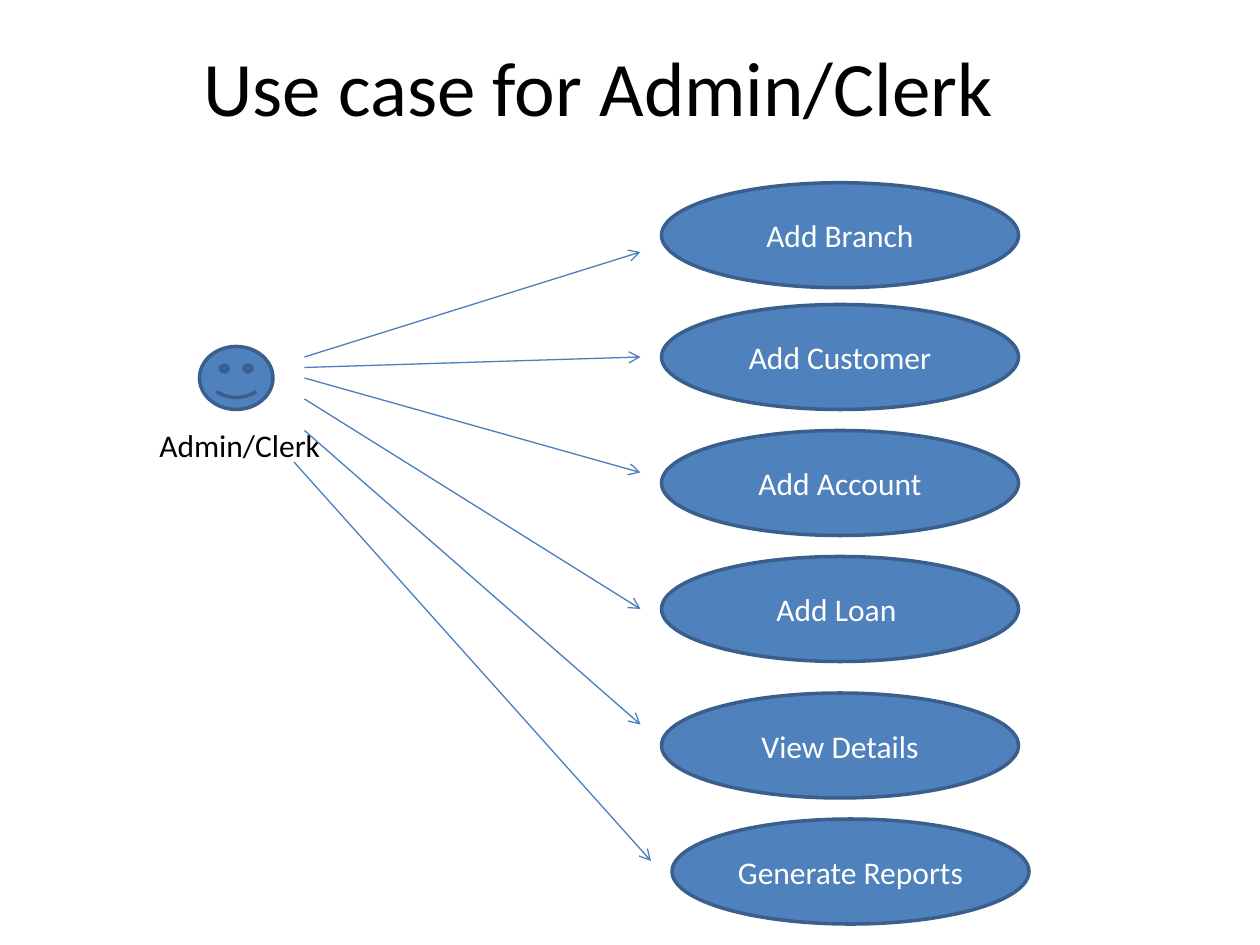
"""Build the use case slide for the admin or clerk role."""
from dataclasses import dataclass
from typing import NamedTuple

from lxml import etree
from pptx import Presentation
from pptx.dml.color import RGBColor
from pptx.enum.shapes import MSO_CONNECTOR, MSO_SHAPE
from pptx.enum.text import MSO_ANCHOR, MSO_AUTO_SIZE, PP_ALIGN
from pptx.oxml.ns import qn
from pptx.util import Inches, Pt

OVAL, FACE = MSO_SHAPE.OVAL, MSO_SHAPE.SMILEY_FACE
LINE = MSO_CONNECTOR.STRAIGHT
MID, TOP = MSO_ANCHOR.MIDDLE, MSO_ANCHOR.TOP
LEFT, CENTER = PP_ALIGN.LEFT, PP_ALIGN.CENTER
GROW = MSO_AUTO_SIZE.SHAPE_TO_FIT_TEXT

WIDE, HIGH = Inches(10), Inches(7.5)
UNIT = WIDE / 120


@dataclass(frozen=True)
class Theme:
    font: str = "Calibri"
    fill: str = "4F81BD"
    edge: str = "3A5F8C"
    arrow: str = "4B7EBC"
    dark: str = "000000"
    light: str = "FFFFFF"
    head: int = 44
    body: int = 18
    border: float = 2
    thin: float = 0.75


class Box(NamedTuple):
    col: float
    row: float
    cols: float
    rows: float


class Point(NamedTuple):
    col: float
    row: float


class Case(NamedTuple):
    name: str
    row: float
    start: Point
    tip: Point


THEME = Theme()
GAP = 2
OVAL_COLS, OVAL_ROWS = 34, 10
CASES = [
    Case("Add Branch", 17.4, Point(29, 34), Point(61, 24)),
    Case("Add Customer", 29, Point(29, 35), Point(61, 34)),
    Case("Add Account", 41, Point(29, 36), Point(61, 45)),
    Case("Add Loan ", 53, Point(29, 38), Point(61, 58)),
    Case("View Details", 66, Point(29, 41), Point(61, 69)),
    Case("Generate Reports", 78, Point(28, 44), Point(62, 82)),
]


def scale(cells: tuple) -> list[int]:
    """Turn grid cells into slide lengths."""
    return [round(cell * UNIT) for cell in cells]


def write(shape, text: str, size: int, color: str, align=CENTER, anchor=MID) -> None:
    """Put styled text into a shape."""
    frame = shape.text_frame
    frame.word_wrap = True
    frame.vertical_anchor = anchor
    frame.text = text
    para = frame.paragraphs[0]
    para.alignment = align
    font = para.runs[0].font
    font.name, font.size = THEME.font, Pt(size)
    font.color.rgb = RGBColor.from_string(color)


def add_form(slide, kind, box: Box):
    """Draw a filled and outlined preset shape."""
    form = slide.shapes.add_shape(kind, *scale(box))
    form.shadow.inherit = False
    form.fill.solid()
    form.fill.fore_color.rgb = RGBColor.from_string(THEME.fill)
    form.line.color.rgb = RGBColor.from_string(THEME.edge)
    form.line.width = Pt(THEME.border)
    return form


def add_arrow(slide, start: Point, tip: Point) -> None:
    """Draw a thin line with an open arrowhead at its tip."""
    link = slide.shapes.add_connector(LINE, *scale(start + tip))
    link.line.color.rgb = RGBColor.from_string(THEME.arrow)
    link.line.width = Pt(THEME.thin)
    props = link.element.find(qn("p:spPr"))
    etree.SubElement(props.find(qn("a:ln")), qn("a:tailEnd"), type="arrow")
    etree.SubElement(props, qn("a:effectLst"))


def add_case(slide, case: Case) -> None:
    """Draw a use case and the arrow that leads to it."""
    add_arrow(slide, case.start, case.tip)
    box = Box(case.tip.col + GAP, case.row, OVAL_COLS, OVAL_ROWS)
    write(add_form(slide, OVAL, box), case.name, THEME.body, THEME.light)


def main() -> None:
    """Build and save the slide."""
    deck = Presentation()
    deck.slide_width, deck.slide_height = WIDE, HIGH
    slide = deck.slides.add_slide(deck.slide_layouts[6])
    title = slide.shapes.add_textbox(*scale(Box(3, 0.7, 108, 15)))
    write(title, "Use case for Admin/Clerk", THEME.head, THEME.dark)
    add_form(slide, FACE, Box(19, 33, 7, 6))
    label = slide.shapes.add_textbox(*scale(Box(14, 40, 19, 4.8)))
    write(label, "Admin/Clerk", THEME.body, THEME.dark, LEFT, TOP)
    label.text_frame.auto_size = GROW
    for case in CASES:
        add_case(slide, case)
    deck.save("out.pptx")


main()
